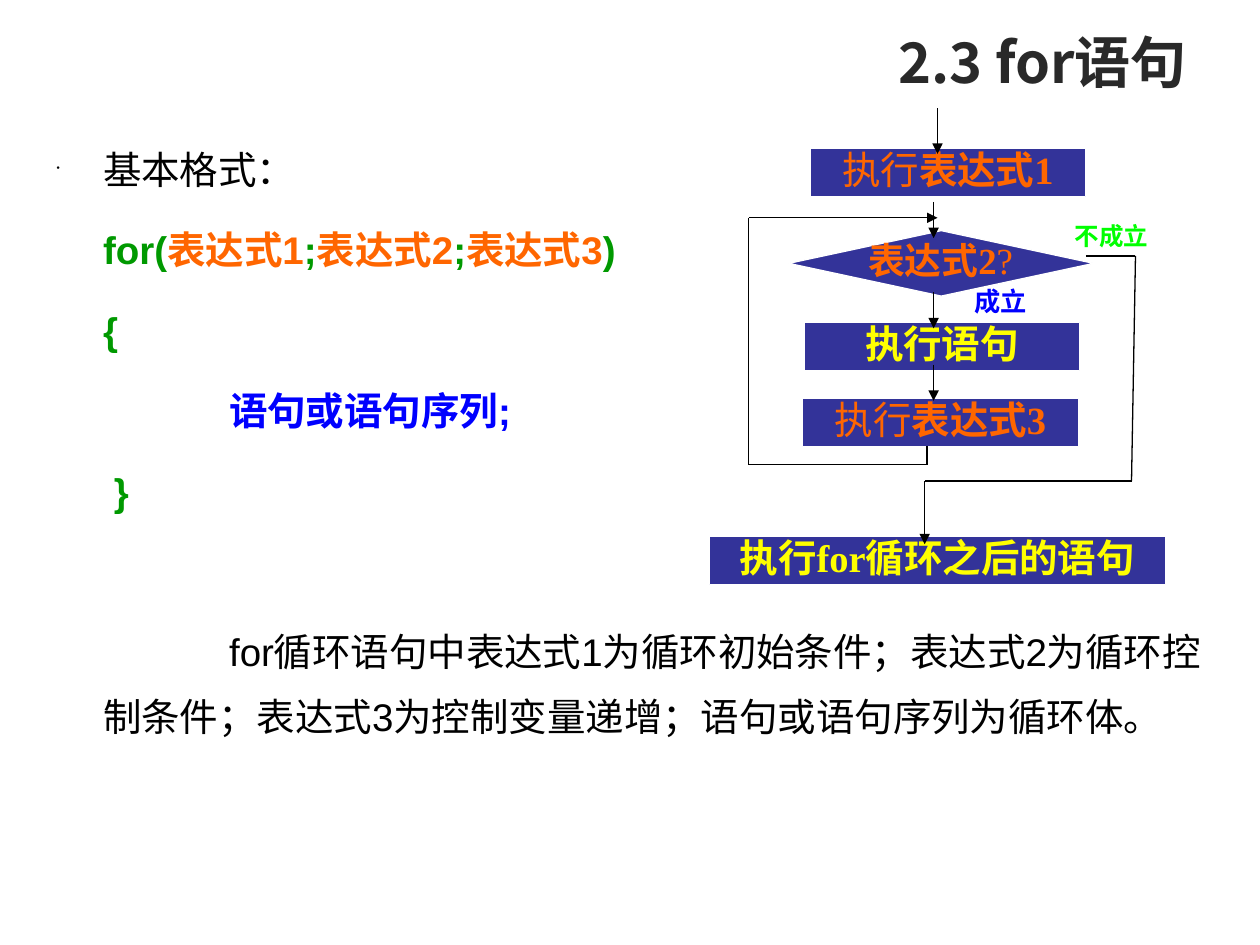
"""Builds a slide that explains the for statement with code and a flowchart."""
from itertools import pairwise

from lxml import etree
from pptx import Presentation
from pptx.dml.color import RGBColor
from pptx.enum.shapes import MSO_CONNECTOR, MSO_SHAPE
from pptx.enum.text import MSO_ANCHOR, PP_ALIGN
from pptx.oxml.ns import qn
from pptx.util import Cm, Pt

STRAIGHT = MSO_CONNECTOR.STRAIGHT
RECTANGLE, DIAMOND = MSO_SHAPE.RECTANGLE, MSO_SHAPE.DIAMOND
TOP, MIDDLE = MSO_ANCHOR.TOP, MSO_ANCHOR.MIDDLE
LEFT, CENTER, RIGHT = PP_ALIGN.LEFT, PP_ALIGN.CENTER, PP_ALIGN.RIGHT
COLORS = {
    "black": "000000",
    "white": "FFFFFF",
    "title": "292929",
    "code": "009900",
    "expression": "FF6600",
    "statement": "0000FF",
    "box": "333399",
    "step": "FFFF00",
    "no": "00FF00",
}
BODY_FONT, CHART_FONT, TITLE_FONT = "Arial", "Times New Roman", "Noto Sans CJK SC"
BODY_INDENT = 0.94
STEP_HEIGHT = 0.97


def color(name):
    """Return the named colour."""
    return RGBColor.from_string(COLORS[name])


def set_text(paragraph, runs, font_name, size):
    """Fill a paragraph with (text, colour, bold) runs."""
    font = paragraph.font
    font.name, font.size = font_name, Pt(size)
    if len({bold for _, _, bold in runs}) == 1:
        font.bold = runs[0][2]
    if len({name for _, name, _ in runs}) == 1:
        font.color.rgb = color(runs[0][1])
    for text, name, bold in runs:
        run = paragraph.add_run()
        run.text = text
        if font.bold is None:
            run.font.bold = bold
        if len({other for _, other, _ in runs}) > 1:
            run.font.color.rgb = color(name)


def set_frame(shape, anchor, inset):
    """Wrap the text of a shape and set its anchor and side insets."""
    frame = shape.text_frame
    frame.word_wrap = True
    frame.vertical_anchor = anchor
    frame.margin_left = frame.margin_right = Cm(inset)
    frame.margin_top = frame.margin_bottom = Cm(0.13)
    return frame


def add_label(slide, place, runs, size, align=LEFT, spacing=0.8,
              font_name=CHART_FONT, anchor=TOP):
    """Add a text box with one paragraph."""
    box = slide.shapes.add_textbox(*map(Cm, place))
    paragraph = set_frame(box, anchor, 0.23).paragraphs[0]
    paragraph.alignment, paragraph.line_spacing = align, spacing
    set_text(paragraph, runs, font_name, size)


def add_box(slide, kind, place):
    """Add a filled flowchart shape."""
    shape = slide.shapes.add_shape(kind, *map(Cm, place))
    shape.shadow.inherit = False
    shape.fill.solid()
    shape.fill.fore_color.rgb = color("box")
    shape.line.color.rgb = color("white")
    shape.line.width = Pt(0.75)
    return shape


def add_step(slide, left, top, width, runs):
    """Add a flowchart rectangle with its text."""
    shape = add_box(slide, RECTANGLE, (left, top, width, STEP_HEIGHT))
    paragraph = set_frame(shape, TOP, 0.23).paragraphs[0]
    paragraph.alignment, paragraph.line_spacing = CENTER, 0.8
    set_text(paragraph, runs, CHART_FONT, 22)


def add_flow(slide, points):
    """Join points by straight lines with an arrowhead at the last one."""
    for start, end in pairwise(points):
        line = slide.shapes.add_connector(STRAIGHT, *map(Cm, start + end))
        line.line.color.rgb = color("black")
        line.line.width = Pt(0.75)
        properties = line._element.spPr
        if end == points[-1]:
            etree.SubElement(properties.get_or_add_ln(), qn("a:tailEnd"), type="triangle")
        etree.SubElement(properties, qn("a:effectLst"))


def add_body(slide):
    """Add the syntax of the statement and its explanation."""
    code = [("for(", "code", True)]
    for number, mark in enumerate(";;)", start=1):
        code += [(f"表达式{number}", "expression", True), (mark, "code", True)]
    explanation = ("for循环语句中表达式1为循环初始条件；表达式2为循环控制条件；"
                   "表达式3为控制变量递增；语句或语句序列为循环体。")
    rows = [
        (0, -BODY_INDENT, [("基本格式：", "black", False)]),
        (9, 0, code),
        (9, 0, [("{", "code", True)]),
        (9, 2.54, [("语句或语句序列;", "statement", True)]),
        (9, 0, [(" }", "code", True)]),
        (55, 2.54, [(explanation, "black", False)]),
    ]
    box = slide.shapes.add_textbox(Cm(0.89), Cm(2.44), Cm(23.62), Cm(13.97))
    frame = set_frame(box, TOP, 0.25)
    for index, (before, indent, runs) in enumerate(rows):
        paragraph = frame.add_paragraph() if index else frame.paragraphs[0]
        paragraph.line_spacing, paragraph.space_before = 1.4, Pt(before)
        properties = paragraph._p.get_or_add_pPr()
        properties.set("marL", str(Cm(BODY_INDENT)))
        properties.set("indent", str(Cm(indent)))
        if indent < 0:
            etree.SubElement(properties, qn("a:buSzPct"), val="25000")
            etree.SubElement(properties, qn("a:buChar"), char="•")
        else:
            etree.SubElement(properties, qn("a:buNone"))
        set_text(paragraph, runs, BODY_FONT, 22)


def add_flowchart(slide):
    """Add the flowchart of the loop."""
    add_box(slide, DIAMOND, (15.9, 4.65, 6.15, 1.32))
    add_label(slide, (17.17, 4.67, 3.58, 1.12),
              [("表达式2", "expression", True), ("?", "expression", False)],
              21, CENTER, 1.0)
    add_step(slide, 16.21, 6.5, 5.56, [("执行语句", "step", True)])
    add_step(slide, 14.3, 10.82, 9.19, [("执行for循环之后的语句", "step", True)])
    for left, top, number in ((16.18, 8.03, 3), (16.33, 3, 1)):
        add_step(slide, left, top, 5.56,
                 [("执行", "expression", False), (f"表达式{number}", "expression", True)])
    add_label(slide, (19.41, 5.74, 2.01, 0.74), [("成立", "statement", True)], 15)
    add_label(slide, (21.44, 4.45, 2.01, 0.71), [("不成立", "no", True)], 14)

    add_flow(slide, [(18.9, 2.18), (18.9, 3.1)])
    for top in (4.07, 5.89, 7.35):
        add_flow(slide, [(18.82, top), (18.82, top + 0.73)])
    add_flow(slide, [(21.89, 5.16), (22.89, 5.16), (22.81, 9.7),
                     (18.64, 9.7), (18.64, 10.97)])
    add_flow(slide, [(18.69, 8.99), (18.69, 9.37), (15.09, 9.37),
                     (15.09, 4.39), (18.9, 4.39)])


def main():
    """Build and save the presentation."""
    presentation = Presentation()
    presentation.slide_width, presentation.slide_height = Cm(25.4), Cm(19.05)
    slide = presentation.slides.add_slide(presentation.slide_layouts[6])
    add_body(slide)
    add_flowchart(slide)
    add_label(slide, (1.3, 0.41, 22.86, 1.65), [("2.3 for语句", "title", True)],
              32, RIGHT, 1.0, TITLE_FONT, MIDDLE)
    presentation.save("out.pptx")


if __name__ == "__main__":
    main()
